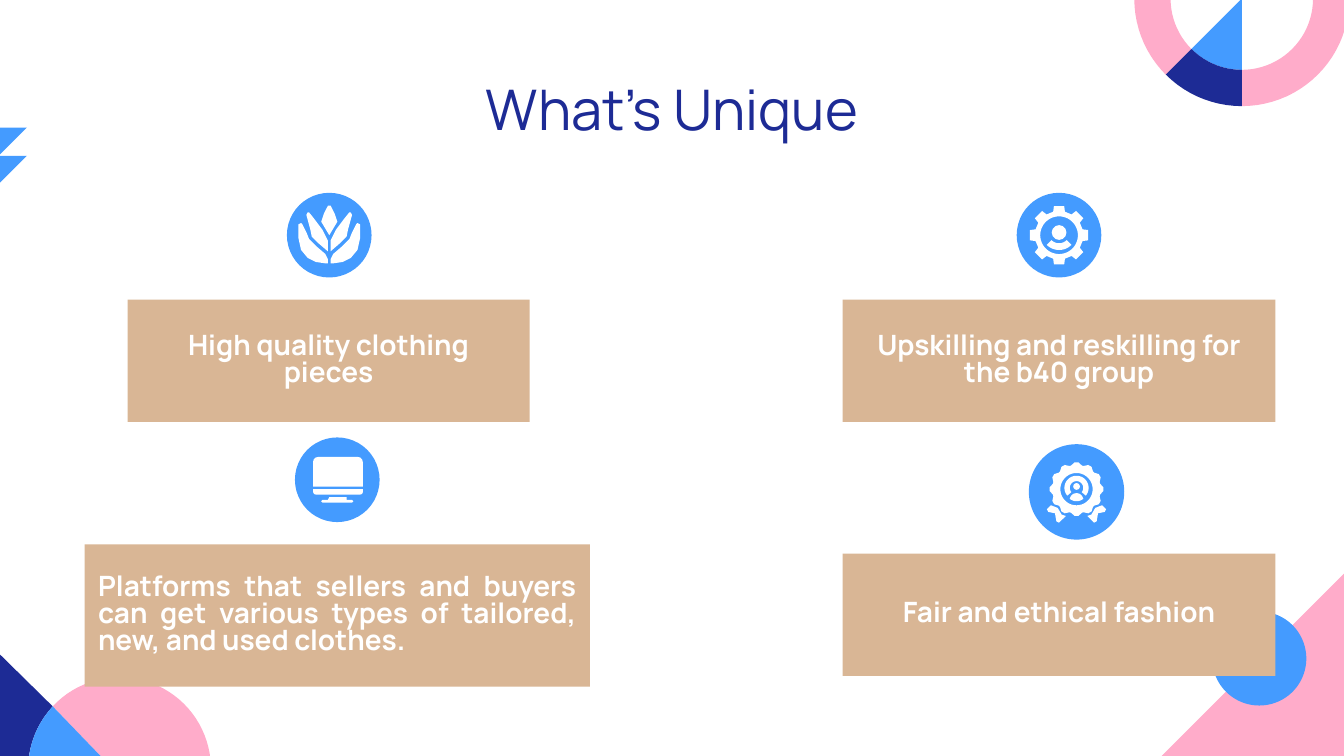
"""Builds the slide of four unique selling points."""
import dataclasses
import math

import lxml.etree
import pptx
import pptx.dml.color
import pptx.enum.shapes
import pptx.enum.text
import pptx.oxml.ns
import pptx.util

Inches = pptx.util.Inches
Kind = pptx.enum.shapes.MSO_SHAPE
Align = pptx.enum.text.PP_ALIGN
Ring = list[tuple[float, float]]

FONT = "Manrope"
NAVY, BLUE, PINK, TAN, WHITE = "1D2B95", "449BFF", "FFACCA", "D9B695", "FFFFFF"


@dataclasses.dataclass
class Card:
    text: str
    left: float
    top: float
    width: float
    height: float
    align: Align = Align.CENTER


@dataclasses.dataclass
class Disc:
    x: float
    y: float
    size: float


CARDS = [
    Card("High quality clothing pieces", 0.95, 2.23, 2.99, 0.91),
    Card("Upskilling and reskilling for the b40 group", 6.27, 2.23, 3.22, 0.91),
    Card("Platforms that sellers and buyers can get various types of tailored, "
         "new, and used clothes.", 0.63, 4.05, 3.76, 1.06, Align.JUSTIFY),
    Card("Fair and ethical fashion", 6.27, 4.12, 3.22, 0.91),
]
LEAF = Disc(2.45, 1.75, 0.63)
GEAR = Disc(7.88, 1.75, 0.63)
SCREEN = Disc(2.51, 3.57, 0.63)
BADGE = Disc(8.01, 3.66, 0.71)


def paint(shape, color: str) -> None:
    """Fill a shape flat, without line or shadow."""
    shape.fill.solid()
    shape.fill.fore_color.rgb = pptx.dml.color.RGBColor.from_string(color)
    shape.line.fill.background()
    shape.shadow.inherit = False


def place(shape, left: float, top: float, width: float, height: float) -> None:
    """Move and size a shape, in inches."""
    shape.left, shape.top = Inches(left), Inches(top)
    shape.width, shape.height = Inches(width), Inches(height)


def form(slide, kind: Kind, left: float, top: float, width: float, height: float, color: str):
    """Draw a preset shape."""
    shape = slide.shapes.add_shape(kind, *map(Inches, (left, top, width, height)))
    paint(shape, color)
    return shape


def disc(slide, x: float, y: float, size: float, color: str) -> None:
    """Draw a circle about its centre."""
    form(slide, Kind.OVAL, x - size / 2, y - size / 2, size, size, color)


def poly(slide, color: str, *rings: Ring) -> None:
    """Draw one outline from one or more closed rings."""
    paths = [[(Inches(x), Inches(y)) for x, y in ring] for ring in rings]
    pen = slide.shapes.build_freeform(*paths[0][0])
    pen.add_line_segments(paths[0][1:])
    for path in paths[1:]:
        pen.move_to(*path[0])
        pen.add_line_segments(path[1:])
    paint(pen.convert_to_shape(), color)


def arc(x: float, y: float, size: float, start: float, end: float) -> Ring:
    """Give points on an arc, clockwise from the right, in degrees."""
    count = max(2, round(abs(end - start) / 4))
    turns = [math.radians(start + (end - start) * i / count) for i in range(count + 1)]
    return [(x + size * math.cos(t), y + size * math.sin(t)) for t in turns]


def band(x: float, y: float, inner: float, outer: float, start: float, end: float) -> Ring:
    """Give the outline of a part of a ring."""
    return arc(x, y, outer, start, end) + arc(x, y, inner, end, start)


def cog(x: float, y: float, inner: float, outer: float, teeth: int,
        root: float, tip: float) -> Ring:
    """Give a toothed outline; root and tip are half angles."""
    ring = []
    for i in range(teeth):
        mid = 360 * i / teeth
        for size, turn in ((inner, -root), (outer, -tip), (outer, tip), (inner, root)):
            t = math.radians(mid + turn)
            ring.append((x + size * math.cos(t), y + size * math.sin(t)))
    return ring


def pair(slide, color: str, ring: Ring, axis: float) -> None:
    """Draw a ring and its mirror image."""
    poly(slide, color, ring)
    poly(slide, color, [(2 * axis - x, y) for x, y in ring])


def decor(slide) -> None:
    """Draw the corners of the page."""
    poly(slide, PINK, [(10.01, 5.66), (10.01, 4.26), (8.61, 5.66)])
    disc(slide, 9.37, 4.9, 0.7, BLUE)
    hub = (9.24, -0.01)
    poly(slide, BLUE, [hub] + arc(*hub, 0.53, 90, 135))
    for color, start, end in ((PINK, 135, 180), (PINK, 0, 90), (NAVY, 90, 135)):
        poly(slide, color, band(*hub, 0.53, 0.8, start, end))
    ball, foot = (0.89, 5.72, 0.68), (1.08, 5.97)
    side = arc(*ball, 158, 223)
    poly(slide, PINK, arc(*ball, -137, 158) + [foot])
    poly(slide, NAVY, [(-0.02, 4.85), (-0.02, 5.97)] + side)
    poly(slide, BLUE, side + [foot])
    for top in (0.95, 1.16):
        poly(slide, BLUE, [(0, top), (0.2, top), (0, top + 0.2)])


def leaf(slide) -> None:
    """Draw the plant."""
    poly(slide, WHITE, [(2.45, 1.53), (2.44, 1.53), (2.41, 1.59), (2.39, 1.65), (2.45, 1.75),
                        (2.51, 1.65), (2.49, 1.59), (2.46, 1.53)])
    pair(slide, WHITE, [(2.29, 1.58), (2.28, 1.6), (2.31, 1.71), (2.32, 1.76), (2.37, 1.81),
                        (2.44, 1.87), (2.44, 1.79), (2.4, 1.71), (2.34, 1.63), (2.3, 1.58)],
         LEAF.x)
    pair(slide, WHITE, [(2.24, 1.66), (2.22, 1.67), (2.22, 1.77), (2.24, 1.86), (2.29, 1.92),
                        (2.35, 1.95), (2.42, 1.96), (2.44, 1.96), (2.44, 1.93), (2.42, 1.89),
                        (2.35, 1.83), (2.3, 1.78), (2.28, 1.73), (2.25, 1.67)], LEAF.x)


def gear(slide) -> None:
    """Draw the cog with a person."""
    x, y = GEAR.x, GEAR.y
    poly(slide, WHITE, cog(x, y, 0.18, 0.22, 8, 14, 10), arc(x, y, 0.14, 0, 360))
    disc(slide, x, 1.73, 0.11, WHITE)
    poly(slide, WHITE, band(x, 1.73, 0.08, 0.13, 45, 135))


def screen(slide) -> None:
    """Draw the monitor."""
    form(slide, Kind.ROUND_2_SAME_RECTANGLE, 2.33, 3.4, 0.37, 0.22, WHITE)
    base = form(slide, Kind.ROUND_2_SAME_RECTANGLE, 2.33, 3.64, 0.37, 0.04, WHITE)
    base.rotation = 180
    base.adjustments[0] = 0.5
    poly(slide, WHITE, [(2.45, 3.7), (2.44, 3.72), (2.4, 3.72), (2.39, 3.73), (2.4, 3.74),
                        (2.62, 3.74), (2.63, 3.73), (2.62, 3.72), (2.58, 3.72), (2.58, 3.7)])


def badge(slide) -> None:
    """Draw the rosette with a person."""
    x, y = BADGE.x, 3.64
    poly(slide, WHITE, cog(x, y, 0.18, 0.2, 12, 13, 4), arc(x, y, 0.12, 0, 360))
    poly(slide, WHITE, band(x, 3.63, 0.05, 0.09, 140, 400))
    disc(slide, x, 3.62, 0.05, WHITE)
    poly(slide, WHITE, arc(x, 3.72, 0.05, 190, 350) + arc(x, 3.65, 0.08, 50, 130))
    pair(slide, WHITE, [(7.82, 3.76), (7.79, 3.79), (7.8, 3.81), (7.85, 3.82), (7.86, 3.88),
                        (7.88, 3.89), (7.93, 3.84), (7.9, 3.83), (7.87, 3.78)], x)


def write(shape, text: str, size: float, color: str, bold: bool, align: Align) -> None:
    """Set the text of a placeholder and bring it to the front."""
    shape.element.getparent().append(shape.element)
    frame = shape.text_frame
    frame.word_wrap = True
    frame.auto_size = pptx.enum.text.MSO_AUTO_SIZE.NONE
    frame.vertical_anchor = pptx.enum.text.MSO_ANCHOR.MIDDLE
    frame.margin_left = frame.margin_right = Inches(0.1)
    frame.margin_top = frame.margin_bottom = Inches(0.1)
    para = frame.paragraphs[0]
    para.alignment = align
    para.space_before = pptx.util.Pt(0)
    run = para.add_run()
    run.text = text
    run.font.name, run.font.size, run.font.bold = FONT, pptx.util.Pt(size), bold
    run.font.color.rgb = pptx.dml.color.RGBColor.from_string(color)


def fill(shape, card: Card) -> None:
    """Turn a body placeholder into a card."""
    place(shape, card.left, card.top, card.width, card.height)
    paint(shape, TAN)
    write(shape, card.text, 15, WHITE, True, card.align)
    para = shape.text_frame.paragraphs[0]
    para.line_spacing = 0.8
    props = para._p.get_or_add_pPr()
    props.set("marL", "0")
    props.set("indent", "0")
    lxml.etree.SubElement(props, pptx.oxml.ns.qn("a:buNone"))


def main() -> None:
    """Build and save the deck."""
    deck = pptx.Presentation()
    deck.slide_width, deck.slide_height = Inches(10), Inches(10 * 9 / 16)
    slide = deck.slides.add_slide(deck.slide_layouts.get_by_name("Comparison"))
    title, *bodies = list(slide.placeholders)
    decor(slide)
    for body, card in zip(bodies, CARDS):
        fill(body, card)
    place(title, 0.78, 0.49, 8.44, 0.63)
    write(title, "What’s Unique", 30, NAVY, False, Align.CENTER)
    for spot, draw in ((LEAF, leaf), (GEAR, gear), (SCREEN, screen), (BADGE, badge)):
        disc(slide, spot.x, spot.y, spot.size, BLUE)
        draw(slide)
    deck.save("out.pptx")


if __name__ == "__main__":
    main()
